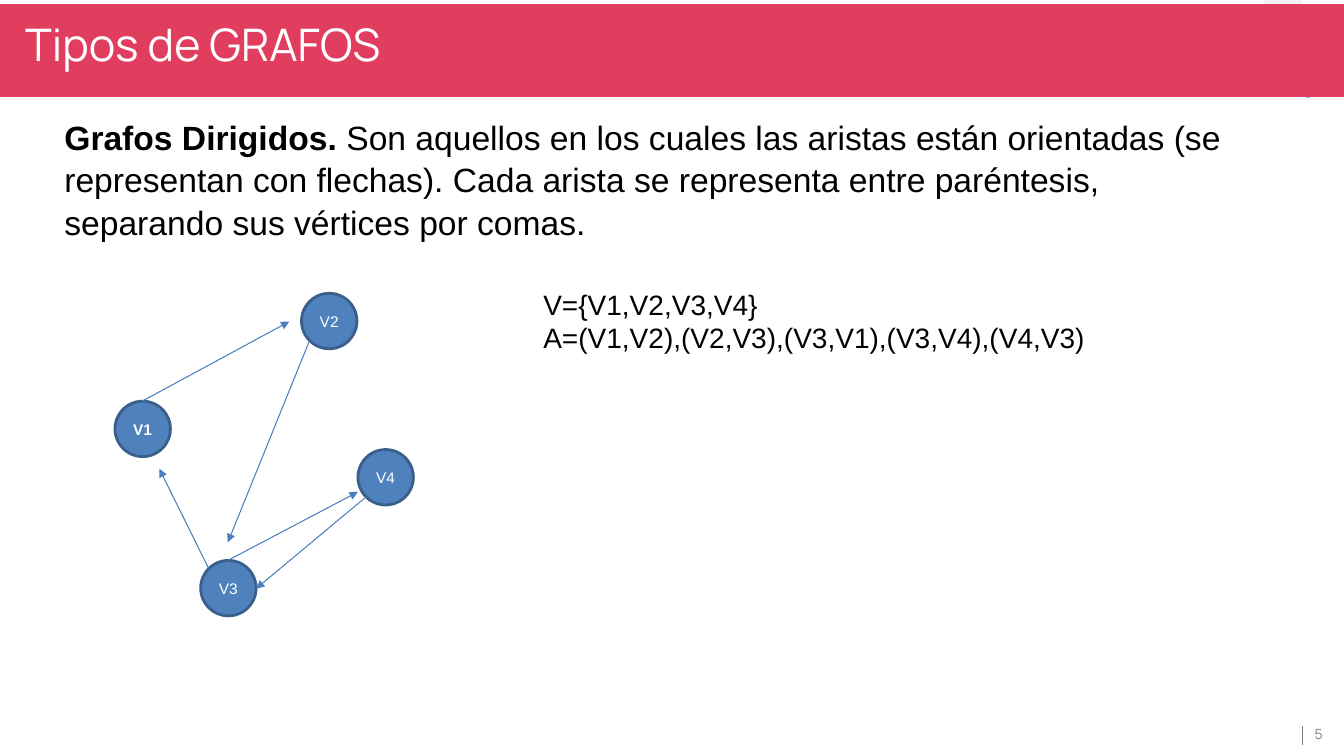
from dataclasses import dataclass

from lxml.etree import SubElement
from pptx import Presentation
from pptx.dml.color import RGBColor
from pptx.enum.shapes import MSO_CONNECTOR, MSO_SHAPE
from pptx.enum.text import MSO_ANCHOR, MSO_AUTO_SIZE, PP_ALIGN
from pptx.oxml.ns import qn
from pptx.util import Emu, Pt

PX = 9144
NODE_SIZE = 55
NODES = {"V2": (299, 291), "V1": (114, 398), "V3": (199, 556), "V4": (355, 446)}
EDGES = [
    ((141, 398), (287, 319)),
    ((207, 564), (158, 465)),
    ((226, 556), (355, 488)),
    ((363, 493), (254, 584)),
    ((307, 338), (226, 538)),
]


@dataclass(frozen=True)
class Theme:
    """Colours, fonts and type sizes of the slide."""
    band: str = "E13D5E"
    white: str = "FFFFFF"
    black: str = "000000"
    grey: str = "7F7F7F"
    corner: str = "F2F2F2"
    dot: str = "32AAAF"
    node: str = "4F81BD"
    node_line: str = "3A5F8C"
    edge: str = "4B7EBC"
    heading_font: str = "Manrope"
    body_font: str = "Arial"
    title_size: int = 32
    body_size: int = 24
    sets_size: int = 20
    node_size: int = 11
    number_size: int = 10


THEME = Theme()


def px(*lengths):
    """Turn px lengths into EMU."""
    return [Emu(length * PX) for length in lengths]


def set_font(font, name, size, color):
    """Set the face, size and colour of a font."""
    font.name = name
    font.size = Pt(size)
    font.color.rgb = RGBColor.from_string(color)


def set_frame(frame, across, down, anchor=MSO_ANCHOR.TOP):
    """Set the insets, wrapping and anchor of a text frame."""
    frame.word_wrap = True
    frame.auto_size = MSO_AUTO_SIZE.NONE
    frame.margin_left, frame.margin_right = px(across, across)
    frame.margin_top, frame.margin_bottom = px(down, down)
    frame.vertical_anchor = anchor


def add_filled(page, kind, place, color):
    """Add a plain filled shape without outline."""
    shape = page.shapes.add_shape(kind, *px(*place))
    shape.shadow.inherit = False
    shape.fill.solid()
    shape.fill.fore_color.rgb = RGBColor.from_string(color)
    shape.line.fill.background()
    return shape


def add_title(page, text):
    """Write the title on top of the shapes drawn so far."""
    title = page.shapes.title
    title.left, title.top, title.width, title.height = px(12, 4, 1252, 64)
    set_frame(title.text_frame, 13, 13)
    title.text_frame.text = text
    para = title.text_frame.paragraphs[0]
    para.alignment = PP_ALIGN.LEFT
    para.line_spacing = 1.0
    set_font(para.font, THEME.heading_font, THEME.title_size, THEME.white)
    page.shapes[-1].element.addnext(title.element)


def add_text(page, place, lines, font, size, color, insets=(10, 5), anchor=MSO_ANCHOR.TOP):
    """Add a text box with one paragraph for each line."""
    box = page.shapes.add_textbox(*px(*place))
    set_frame(box.text_frame, *insets, anchor)
    box.text_frame.text = "\n".join(lines)
    for para in box.text_frame.paragraphs:
        set_font(para.font, font, size, color)
    return box


def add_definition(page, term, meaning):
    """Add a bold term followed by its definition."""
    box = add_text(page, (54, 109, 1169, 134), [term], THEME.body_font,
                   THEME.body_size, THEME.black)
    para = box.text_frame.paragraphs[0]
    para.line_spacing = 1.05
    para.runs[0].font.bold = True
    span = para.add_run()
    span.text = meaning


def add_node(page, label, left, top):
    """Add a round graph vertex with its label."""
    node = add_filled(page, MSO_SHAPE.OVAL, (left, top, NODE_SIZE, NODE_SIZE), THEME.node)
    node.line.color.rgb = RGBColor.from_string(THEME.node_line)
    node.line.width = Pt(2)
    set_frame(node.text_frame, 0, 0, MSO_ANCHOR.MIDDLE)
    node.text_frame.text = label
    para = node.text_frame.paragraphs[0]
    para.alignment = PP_ALIGN.CENTER
    set_font(para.font, THEME.body_font, THEME.node_size, THEME.white)
    para.font.bold = label == "V1"


def add_line(page, start, end, color, width, arrow=False):
    """Add a straight line, with an arrowhead at its end if asked."""
    line = page.shapes.add_connector(MSO_CONNECTOR.STRAIGHT, *px(*start, *end))
    line.line.color.rgb = RGBColor.from_string(color)
    line.line.width = Pt(width)
    if arrow:
        SubElement(line.line._get_or_add_ln(), qn("a:tailEnd"), type="triangle")
    SubElement(line.element.spPr, qn("a:effectLst"))


def main():
    """Build the slide on directed graphs."""
    deck = Presentation()
    deck.slide_width, deck.slide_height = px(1333, 750)
    page = deck.slides.add_slide(deck.slide_layouts[5])

    add_filled(page, MSO_SHAPE.RECTANGLE, (1254, 0, 37, 10), THEME.corner)
    add_filled(page, MSO_SHAPE.OVAL, (1293, 88, 9, 9), THEME.dot)
    add_line(page, (1292, 720), (1292, 739), THEME.grey, 1)
    add_text(page, (1300, 714, 33, 28), ["5"], THEME.heading_font, THEME.number_size,
             THEME.grey, (4, 4), MSO_ANCHOR.MIDDLE)
    add_filled(page, MSO_SHAPE.RECTANGLE, (0, 4, 1333, 92), THEME.band)
    add_title(page, "Tipos de GRAFOS")

    add_definition(
        page, "Grafos Dirigidos. ",
        "Son aquellos en los cuales las aristas están orientadas (se representan con "
        "flechas). Cada arista se representa entre paréntesis, separando sus vértices "
        "por comas.")
    for label, (left, top) in NODES.items():
        add_node(page, label, left, top)
    add_text(page, (529, 280, 570, 77),
             ["V={V1,V2,V3,V4}", "A=(V1,V2),(V2,V3),(V3,V1),(V3,V4),(V4,V3)"],
             THEME.body_font, THEME.sets_size, THEME.black)
    for start, end in EDGES:
        add_line(page, start, end, THEME.edge, 0.75, arrow=True)

    deck.save("out.pptx")


if __name__ == "__main__":
    main()
